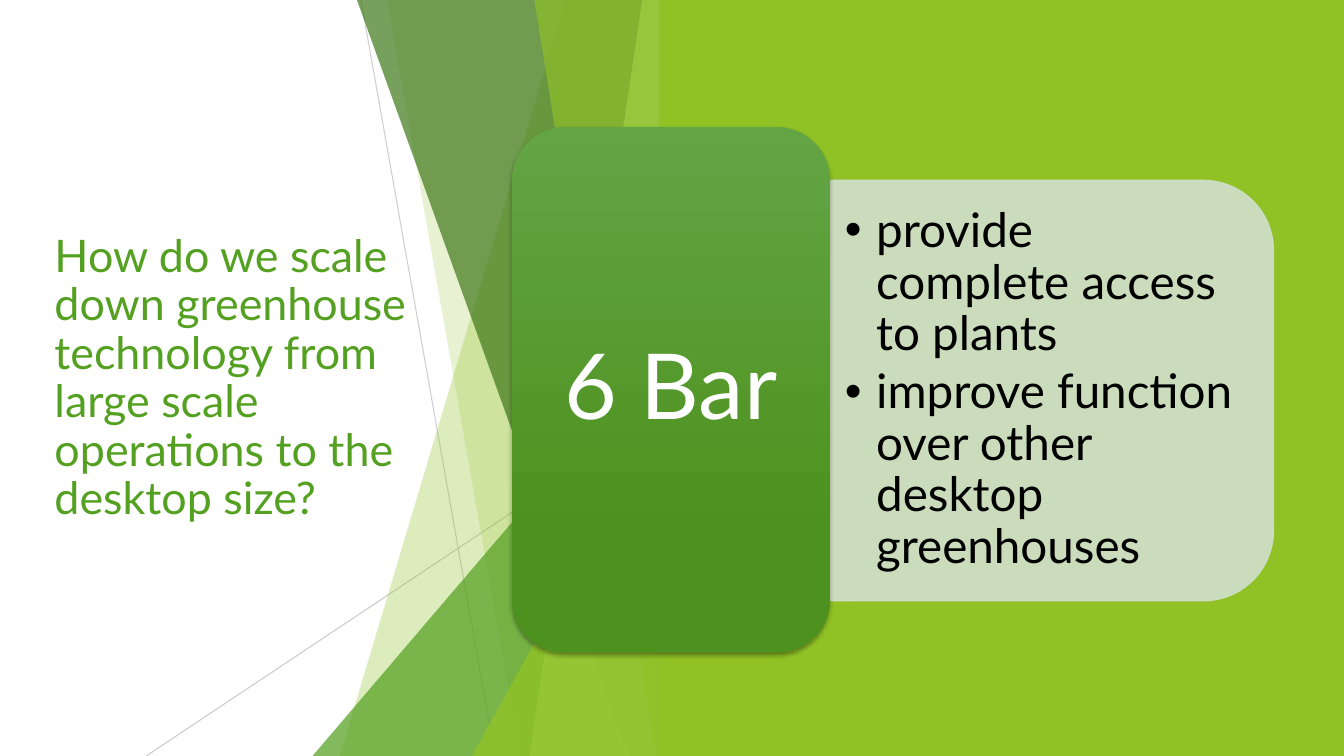
from pptx import Presentation
from pptx.dml.color import RGBColor
from pptx.enum.shapes import MSO_CONNECTOR, MSO_SHAPE
from pptx.enum.text import MSO_ANCHOR, MSO_AUTO_SIZE, PP_ALIGN
from pptx.oxml.ns import qn
from pptx.util import Inches, Pt
from lxml.etree import SubElement

LIME, GREEN, DARK, PALE = "90C226", "54A021", "3F7819", "C0E474"
FONT = "Lato"


def color(value):
    return RGBColor.from_string(value)


def fade(sp, percent):
    for clr in sp.element.spPr.iter(qn("a:srgbClr")):
        SubElement(clr, qn("a:alpha")).set("val", str(percent * 1000))


def paint(sp, fill, opacity=100):
    sp.shadow.inherit = False
    sp.fill.solid()
    sp.fill.fore_color.rgb = color(fill)
    sp.line.fill.background()
    if opacity < 100:
        fade(sp, opacity)


def frame(sp, box, margin_x, margin_y):
    sp.left, sp.top, sp.width, sp.height = (Inches(v) for v in box)
    tf = sp.text_frame
    tf.word_wrap = True
    tf.auto_size = MSO_AUTO_SIZE.NONE
    tf.vertical_anchor = MSO_ANCHOR.MIDDLE
    tf.margin_left = tf.margin_right = Inches(margin_x)
    tf.margin_top = tf.margin_bottom = Inches(margin_y)
    return tf


def write(p, text, size, fill, align=PP_ALIGN.LEFT):
    p.alignment = align
    p.line_spacing = 0.9
    p.space_before = Pt(0)
    r = p.add_run()
    r.text = text
    r.font.name = FONT
    r.font.size = Pt(size)
    r.font.color.rgb = color(fill)


def add_question(s, box):
    tf = frame(s.shapes.title, box, 0.1, 0.05)
    write(tf.paragraphs[0], "How do we scale down greenhouse technology from "
          "large scale operations to the desktop size?", 32, GREEN)


def add_facets(s, x, y, w, h):
    right, bottom = x + w, y + h
    rays = [((x + 2.13, y), (x + 3.46, bottom), 75),
            ((right, y + 4.03), (x, bottom), 80)]
    for start, end, opacity in rays:
        ray = s.shapes.add_connector(
            MSO_CONNECTOR.STRAIGHT, *(Inches(v) for v in start + end))
        ray.line.color.rgb = color("BFBFBF")
        ray.line.width = Pt(0.75)
        fade(ray, opacity)
        SubElement(ray.element.spPr, qn("a:effectLst"))

    facets = [("band", 4.16, 1.92, LIME, 30),
              ("band", 2.39, 3.71, LIME, 20),
              ("corner", 3.33, 1.65, GREEN, 72),
              ("band", 2.09, 4.79, DARK, 70),
              ("band", 4.92, 3.8, PALE, 70),
              ("band", 3.85, 5.06, LIME, 65),
              ("corner", 3.93, 3.23, LIME, 80)]
    for kind, upper, lower, fill, opacity in facets:
        if kind == "band":
            corners = [(x + upper, y), (right, y), (right, bottom),
                       (x + lower, bottom)]
            points = [(Inches(px), Inches(py)) for px, py in corners]
            fb = s.shapes.build_freeform(*points[0])
            fb.add_line_segments(points[1:])
            sp = fb.convert_to_shape()
        else:
            sp = s.shapes.add_shape(
                MSO_SHAPE.ISOSCELES_TRIANGLE, Inches(x + lower),
                Inches(y + upper), Inches(w - lower), Inches(h - upper))
            sp.adjustments[0] = 1
        paint(sp, fill, opacity)


def add_backdrop(s, box):
    sp = s.shapes.add_shape(MSO_SHAPE.RECTANGLE, *(Inches(v) for v in box))
    paint(sp, LIME)


def add_goals(s, x, y, w, h):
    panel = s.shapes.add_shape(
        MSO_SHAPE.ROUND_2_SAME_RECTANGLE, Inches(x + (w - h) / 2),
        Inches(y + (h - w) / 2), Inches(h), Inches(w))
    panel.rotation = 90
    paint(panel, "D1DFCD")
    panel.line.color.rgb = color("D1DFCD")
    panel.line.width = Pt(1)
    fade(panel, 90)

    body = s.placeholders[1]
    body.element.getparent().append(body.element)
    tf = frame(body, (x, y + 0.2, w - 0.23, h - 0.41), 0.14, 0.07)
    goals = ["provide complete access to plants",
             "improve function over other desktop greenhouses"]
    for i, goal in enumerate(goals):
        p = tf.paragraphs[0] if i == 0 else tf.add_paragraph()
        pPr = p._p.get_or_add_pPr()
        pPr.set("marL", str(Inches(0.31)))
        pPr.set("indent", str(Inches(-0.31)))
        SubElement(pPr, qn("a:buChar")).set("char", "•")
        write(p, goal, 34, "000000")
        p.space_after = Pt(5)


def add_card(s, box):
    sp = s.shapes.add_shape(
        MSO_SHAPE.ROUNDED_RECTANGLE, *(Inches(v) for v in box))
    sp.line.fill.background()
    sp.fill.gradient()
    sp.fill.gradient_angle = 270
    stops = [(0, "63A545"), (0.78, "4D921E")]
    for stop, (position, fill) in zip(sp.fill.gradient_stops, stops):
        stop.position = position
        stop.color.rgb = color(fill)
    sp.shadow.inherit = False
    effects = sp.element.spPr.find(qn("a:effectLst"))
    shadow = SubElement(effects, qn("a:outerShdw"), blurRad=str(Pt(3)),
                        dist=str(Pt(2)), dir="5400000", rotWithShape="0")
    clr = SubElement(shadow, qn("a:srgbClr"), val="000000")
    SubElement(clr, qn("a:alpha"), val="35000")
    tf = frame(sp, box, 0.27, 0.14)
    write(tf.paragraphs[0], "6 Bar", 65, "FFFFFF", PP_ALIGN.CENTER)


def main():
    prs = Presentation()
    prs.slide_width, prs.slide_height = Inches(13.33), Inches(7.5)
    s = prs.slides.add_slide(prs.slide_layouts[1])
    add_question(s, (0.44, 1.52, 3.88, 4.48))
    add_facets(s, 1.45, 0, 5.21, 7.5)
    add_backdrop(s, (6.54, 0, 6.79, 7.5))
    add_goals(s, 8.24, 1.79, 4.39, 4.17)
    add_card(s, (5.08, 1.26, 3.15, 5.21))
    prs.save("out.pptx")


if __name__ == "__main__":
    main()
